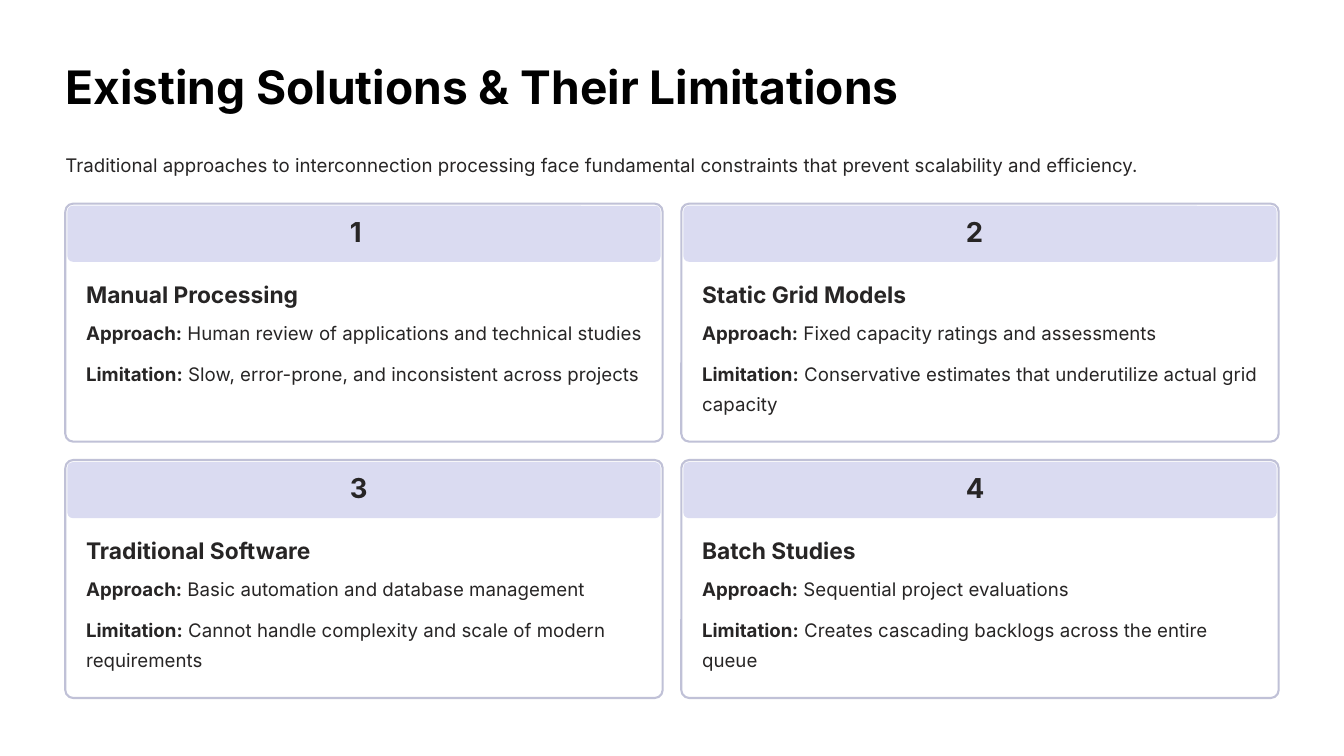
from dataclasses import dataclass

from pptx import Presentation
from pptx.dml.color import RGBColor
from pptx.enum import shapes, text
from pptx.slide import Slide
from pptx.util import Pt

COLORS = {
    "background": "FFFFFF",
    "title": "000000",
    "body": "272525",
    "border": "C0C1D7",
    "band": "DADBF1",
}
FONT = "Inter"
MARGIN = 70
CARD_TOP = 218.2
CARD_WIDTH, CARD_HEIGHT = 640, 255
COLUMN_STEP, ROW_STEP = 660, 274.7
BORDER = 2.25
BAND_HEIGHT = 60
PADDING = 22.3
BODY_WIDTH = 596


@dataclass(frozen=True)
class Card:
    heading: str
    approach: str
    limitation: str


CARDS = [
    Card(
        "Manual Processing",
        "Human review of applications and technical studies",
        "Slow, error-prone, and inconsistent across projects",
    ),
    Card(
        "Static Grid Models",
        "Fixed capacity ratings and assessments",
        "Conservative estimates that underutilize actual grid capacity",
    ),
    Card(
        "Traditional Software",
        "Basic automation and database management",
        "Cannot handle complexity and scale of modern requirements",
    ),
    Card(
        "Batch Studies",
        "Sequential project evaluations",
        "Creates cascading backlogs across the entire queue",
    ),
]


def add_text(
    slide: Slide, content: str, *, left: float, top: float, width: float,
    height: float = 29, size: float = 20, spacing: float = 31.9,
    color: str = "body", bold: bool = False, label: str = "",
) -> None:
    """Add a text box, with an optional bold label before the content."""
    box = slide.shapes.add_textbox(Pt(left), Pt(top), Pt(width), Pt(height))
    frame = box.text_frame
    frame.word_wrap = True
    frame.margin_left = frame.margin_right = Pt(0)
    frame.margin_top = frame.margin_bottom = Pt(0)
    frame.vertical_anchor = text.MSO_ANCHOR.TOP
    paragraph = frame.paragraphs[0]
    paragraph.line_spacing = Pt(spacing)
    runs = [(label, True), (f" {content}", bold)] if label else [(content, bold)]
    for words, weight in runs:
        run = paragraph.add_run()
        run.text = words
        run.font.name = FONT
        run.font.size = Pt(size)
        run.font.bold = weight
        run.font.color.rgb = RGBColor.from_string(COLORS[color])


def add_panel(
    slide: Slide, *, left: float, top: float, width: float, height: float,
    radius: float, fill: str, border: str = "",
) -> None:
    """Add a rounded rectangle with an optional border."""
    shape = slide.shapes.add_shape(
        shapes.MSO_SHAPE.ROUNDED_RECTANGLE, Pt(left), Pt(top), Pt(width), Pt(height)
    )
    shape.shadow.inherit = False
    shape.adjustments[0] = radius / min(width, height)
    shape.fill.solid()
    shape.fill.fore_color.rgb = RGBColor.from_string(COLORS[fill])
    if border:
        shape.line.color.rgb = RGBColor.from_string(COLORS[border])
        shape.line.width = Pt(BORDER)
    else:
        shape.line.fill.background()


def add_card(slide: Slide, card: Card, index: int) -> None:
    """Draw one numbered card in its place on the two-column grid."""
    row, column = divmod(index, 2)
    left = MARGIN + column * COLUMN_STEP
    top = CARD_TOP + row * ROW_STEP
    body_left = left + PADDING
    add_panel(slide, left=left, top=top, width=CARD_WIDTH, height=CARD_HEIGHT,
              radius=8.5, fill="background", border="border")
    add_panel(slide, left=left + BORDER, top=top + BORDER,
              width=CARD_WIDTH - 2 * BORDER, height=BAND_HEIGHT,
              radius=5.8, fill="band")
    add_text(slide, str(index + 1), left=left + 305, top=top + 17.8, width=30,
             height=33, size=29.4, spacing=29.4, bold=True)
    add_text(slide, card.heading, left=body_left, top=top + 80.8, width=249,
             height=32, size=24.4, spacing=30.6, bold=True)
    add_text(slide, card.approach, left=body_left, top=top + 118.5,
             width=BODY_WIDTH, label="Approach:")
    add_text(slide, card.limitation, left=body_left, top=top + 162.4,
             width=BODY_WIDTH, height=61, label="Limitation:")


def main() -> None:
    """Build the slide and save it."""
    presentation = Presentation()
    presentation.slide_width, presentation.slide_height = Pt(1440), Pt(810)
    slide = presentation.slides.add_slide(presentation.slide_layouts[6])
    slide.background.fill.solid()
    slide.background.fill.fore_color.rgb = RGBColor.from_string(COLORS["background"])
    add_text(slide, "Existing Solutions & Their Limitations", left=MARGIN, top=60,
             width=902, height=65, size=49.4, spacing=61.9, color="title", bold=True)
    add_text(
        slide,
        "Traditional approaches to interconnection processing face fundamental "
        "constraints that prevent scalability and efficiency.",
        left=MARGIN, top=157, width=1300,
    )
    for index, card in enumerate(CARDS):
        add_card(slide, card, index)
    presentation.save("out.pptx")


if __name__ == "__main__":
    main()
